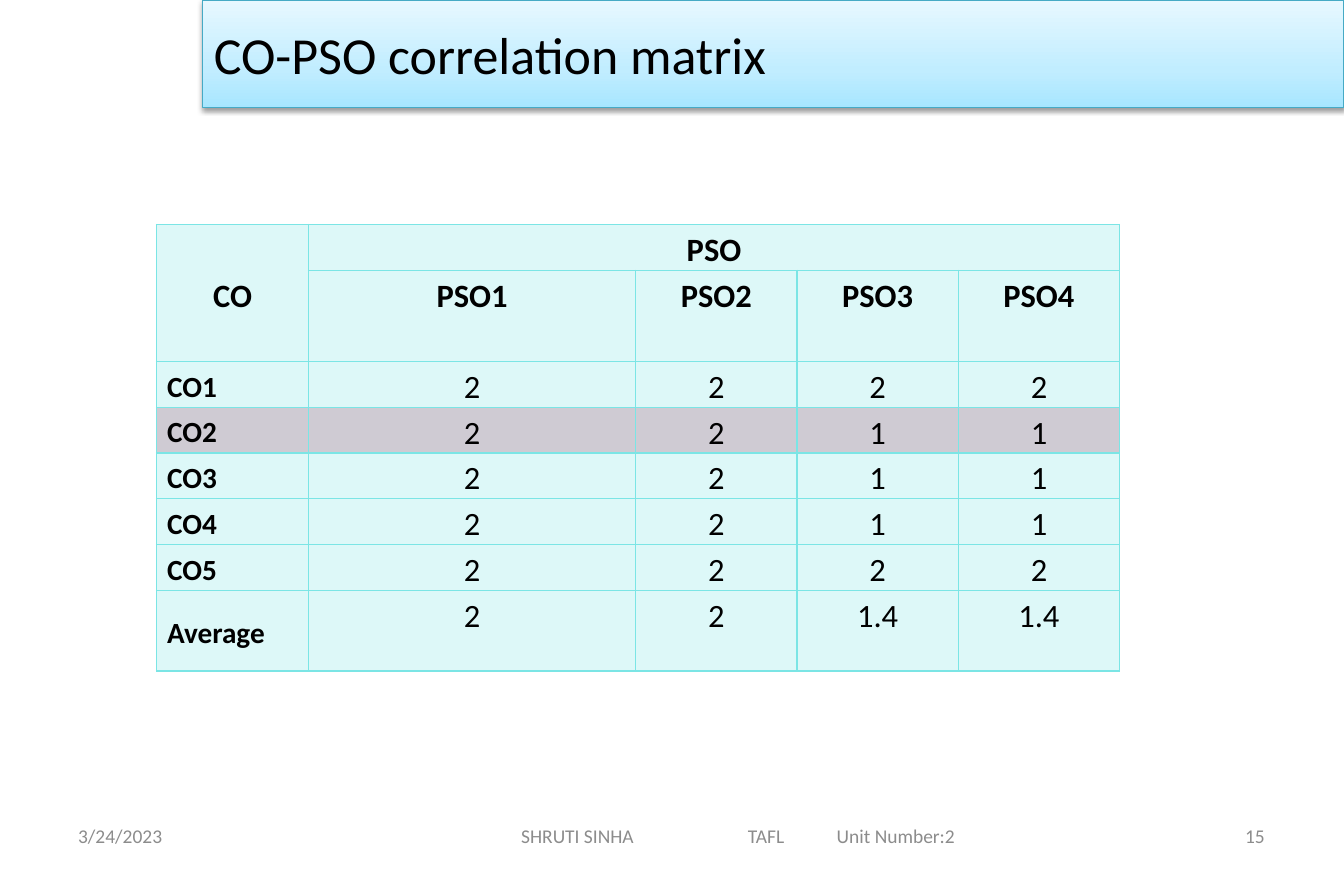
from lxml.etree import SubElement
from pptx import Presentation
from pptx.dml.color import RGBColor
from pptx.enum.text import MSO_ANCHOR, MSO_AUTO_SIZE, PP_ALIGN
from pptx.oxml.ns import qn
from pptx.util import Inches, Pt

WIDE, HIGH = 11.5, 7.5
HUES = {"ink": "000000", "gray": "8C8C8C", "edge": "46AAC5", "aqua": "7BE5E5",
        "plum": "403152", "low": "A7E6FF", "mid": "C1EDFF", "top": "E7F8FF"}
BODY = {"size": 20, "bold": False, "hue": "ink"}
HEAD = BODY | {"bold": True}
SIDE = HEAD | {"size": 18}
TITLE = BODY | {"size": 32}
FOOT = BODY | {"size": 12, "hue": "gray"}

COLS = [1.3, 2.8, 1.38, 1.38, 1.38]
ROWS = [0.39, 0.78] + [0.39] * 5 + [0.69]
GRID = [
    ["CO", "PSO", "", "", ""],
    ["", "PSO1", "PSO2", "PSO3", "PSO4"],
    ["CO1", "2", "2", "2", "2"],
    ["CO2", "2", "2", "1", "1"],
    ["CO3", "2", "2", "1", "1"],
    ["CO4", "2", "2", "1", "1"],
    ["CO5", "2", "2", "2", "2"],
    ["Average", "2", "2", "1.4", "1.4"],
]


def add(node, tag, **atts):
    return SubElement(node, qn("a:" + tag), {k: str(v) for k, v in atts.items()})


def tint(node, hue, alpha=100):
    clr = add(node, "srgbClr", val=HUES[hue])
    if alpha < 100:
        add(clr, "alpha", val=alpha * 1000)


def style(para, look, align):
    para.alignment = align
    font = para.font
    for name, value in {"name": "Calibri", "size": Pt(look["size"]),
                        "bold": look["bold"]}.items():
        setattr(font, name, value)
    font.color.rgb = RGBColor.from_string(HUES[look["hue"]])


def place(shape, box):
    for name, value in zip(("left", "top", "width", "height"), box):
        setattr(shape, name, Inches(value))


def banner(slide, box):
    bar = slide.shapes.title
    place(bar, box)
    bar.fill.gradient()
    bar.fill.gradient_angle = 90
    stops = bar.element.spPr.find(qn("a:gradFill")).find(qn("a:gsLst"))
    for stop in list(stops):
        stops.remove(stop)
    for pos, hue in ((0, "low"), (35, "mid"), (100, "top")):
        tint(add(stops, "gs", pos=pos * 1000), hue)
    bar.line.color.rgb = RGBColor.from_string(HUES["edge"])
    bar.line.width = Pt(0.75)
    cast = add(add(bar.element.spPr, "effectLst"), "outerShdw", blurRad=Pt(3.1),
               dist=Pt(1.6), dir=90 * 60000, rotWithShape=0)
    tint(cast, "ink", 38)
    frame = bar.text_frame
    frame.text = "CO-PSO correlation matrix"
    frame.auto_size = MSO_AUTO_SIZE.NONE
    frame.vertical_anchor = MSO_ANCHOR.MIDDLE
    style(frame.paragraphs[0], TITLE, PP_ALIGN.LEFT)


def paint(cell, hue):
    cell.fill.solid()
    cell.fill.fore_color.rgb = RGBColor.from_string(HUES[hue])
    props = cell.fill._xPr
    add(props.find(qn("a:solidFill"))[0], "alpha", val=25000)
    for spot, side in enumerate(("lnL", "lnR", "lnT", "lnB")):
        edge = add(props, side, w=Pt(1))
        tint(add(edge, "solidFill"), "aqua")
        props.insert(spot, edge)


def matrix(slide, left, top):
    box = [Inches(n) for n in (left, top, sum(COLS), sum(ROWS))]
    table = slide.shapes.add_table(len(ROWS), len(COLS), *box).table
    table.first_row = table.horz_banding = False
    for col, width in zip(table.columns, COLS):
        col.width = Inches(width)
    for row, height in zip(table.rows, ROWS):
        row.height = Inches(height)
    for r, line in enumerate(GRID):
        for c, text in enumerate(line):
            cell = table.cell(r, c)
            cell.text = text
            cell.margin_left = cell.margin_right = Inches(0.09)
            cell.margin_top = cell.margin_bottom = 0
            cell.vertical_anchor = MSO_ANCHOR.TOP if c else MSO_ANCHOR.MIDDLE
            para = cell.text_frame.paragraphs[0]
            para.line_spacing = 1.15
            label = c == 0 and r > 1
            look = HEAD if r < 2 else SIDE if label else BODY
            style(para, look, PP_ALIGN.LEFT if label else PP_ALIGN.CENTER)
            paint(cell, "plum" if line[0] == "CO2" else "aqua")
    table.cell(0, 0).merge(table.cell(1, 0))
    table.cell(0, 1).merge(table.cell(0, 4))


def note(slide, box, text, align=PP_ALIGN.LEFT, inset=0.1, tabs=()):
    frame = slide.shapes.add_textbox(*map(Inches, box)).text_frame
    frame.word_wrap = True
    frame.vertical_anchor = MSO_ANCHOR.MIDDLE
    frame.margin_left = Inches(inset)
    frame.text = text
    para = frame.paragraphs[0]
    if tabs:
        stops = add(para._p.get_or_add_pPr(), "tabLst")
        for pos in tabs:
            add(stops, "tab", pos=Inches(pos), algn="l")
    style(para, FOOT, align)


def footer(slide, top, high):
    side = 2.68
    note(slide, (0.57, top, side, high), "3/24/2023")
    note(slide, (WIDE - 0.58 - side, top, side, high), "15", PP_ALIGN.RIGHT)
    note(slide, (3.16, top, 6.33, high), "SHRUTI SINHA\tTAFL\tUnit Number:2",
         inset=1.3, tabs=(1.94, 2.7))


def main():
    deck = Presentation()
    deck.slide_width, deck.slide_height = Inches(WIDE), Inches(HIGH)
    slide = deck.slides.add_slide(deck.slide_layouts[5])
    banner(slide, (1.73, 0, WIDE - 1.73, 0.92))
    matrix(slide, 1.34, 1.92)
    footer(slide, 6.95, 0.4)
    deck.save("out.pptx")


if __name__ == "__main__":
    main()
